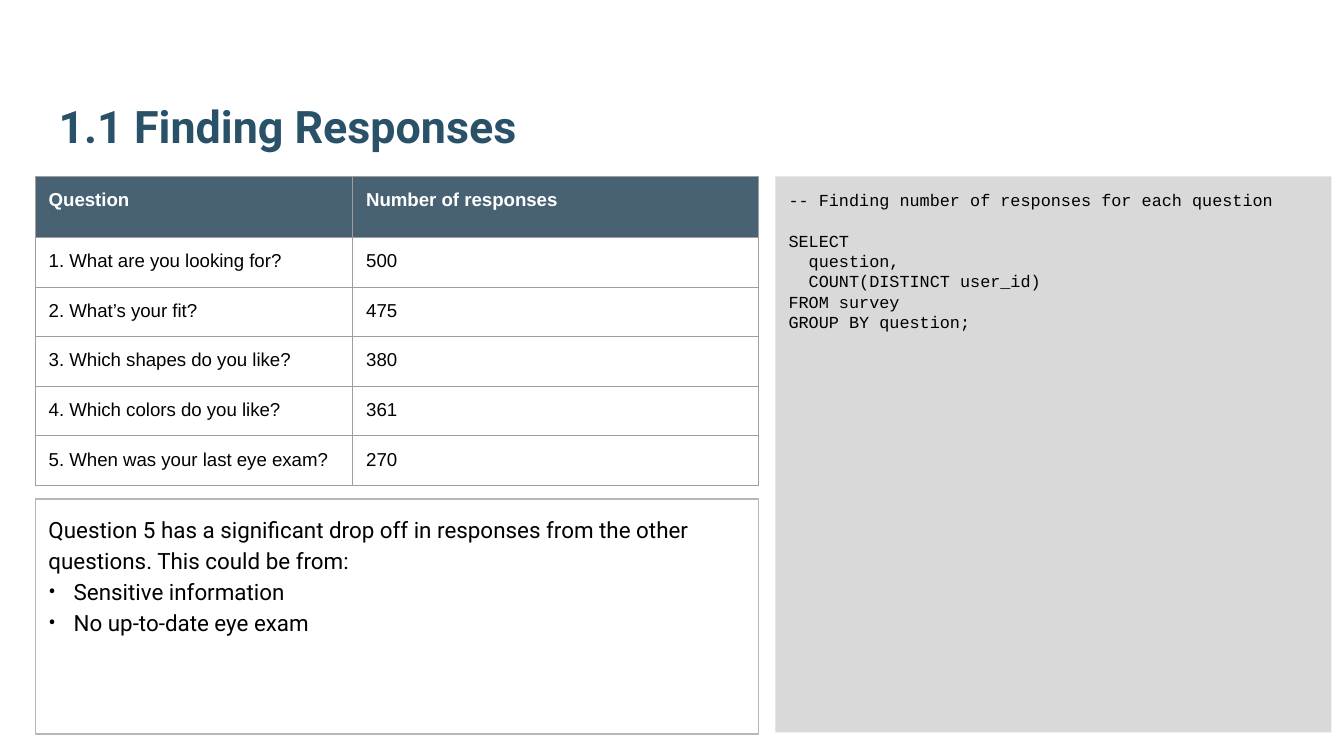
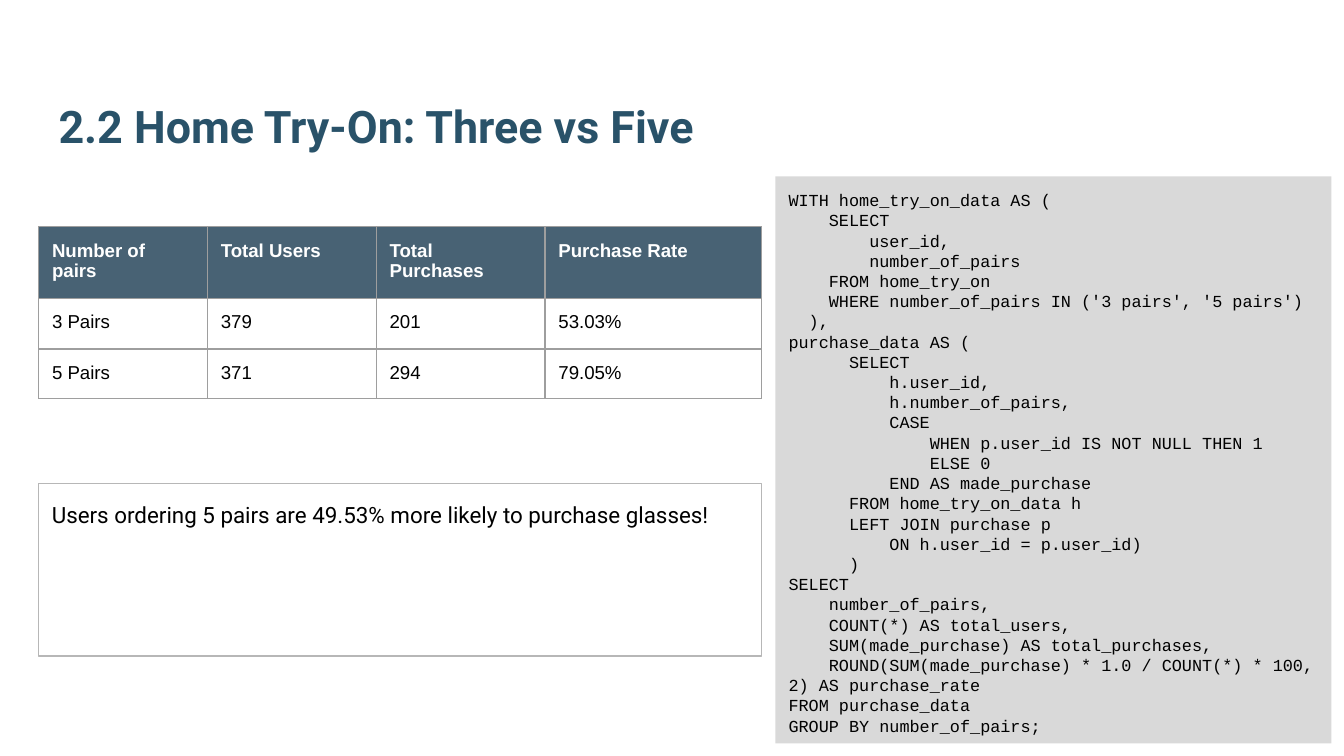
"""Build two survey slides, each with a table, a finding and its SQL query."""
import pptx
import pptx.dml.color
import pptx.enum.shapes
import pptx.enum.text
import pptx.oxml
import pptx.oxml.ns
import pptx.util

RGB = pptx.dml.color.RGBColor
NAVY = RGB(0x29, 0x52, 0x69)
HEAD = RGB(0x20, 0x40, 0x56)
GRAY = RGB(0xD9, 0xD9, 0xD9)
EDGE = RGB(0xB7, 0xB7, 0xB7)
GRID = RGB(0x9E, 0x9E, 0x9E)
WHITE = RGB(0xFF, 0xFF, 0xFF)
BLACK = RGB(0, 0, 0)
SCALE = 5715
PAD = 16
WIDE = 861
SIDES = ("lnL", "lnR", "lnT", "lnB")

COUNTS = [
    ("Question", "Number of responses"),
    ("1. What are you looking for?", "500"),
    ("2. What’s your fit?", "475"),
    ("3. Which shapes do you like?", "380"),
    ("4. Which colors do you like?", "361"),
    ("5. When was your last eye exam?", "270"),
]
RATES = [
    ("Number of pairs", "Total Users", "Total Purchases", "Purchase Rate"),
    ("3 Pairs", "379", "201", "53.03%"),
    ("5 Pairs", "371", "294", "79.05%"),
]
COUNT_SQL = """-- Finding number of responses for each question

SELECT
  question,
  COUNT(DISTINCT user_id)
FROM survey
GROUP BY question;"""
RATE_SQL = """WITH home_try_on_data AS (
    SELECT
        user_id,
        number_of_pairs
    FROM home_try_on
    WHERE number_of_pairs IN ('3 pairs', '5 pairs')
  ),
purchase_data AS (
      SELECT
          h.user_id,
          h.number_of_pairs,
          CASE
              WHEN p.user_id IS NOT NULL THEN 1
              ELSE 0
          END AS made_purchase
      FROM home_try_on_data h
      LEFT JOIN purchase p
          ON h.user_id = p.user_id)
      )
SELECT
    number_of_pairs,
    COUNT(*) AS total_users,
    SUM(made_purchase) AS total_purchases,
    ROUND(SUM(made_purchase) * 1.0 / COUNT(*) * 100, 2) AS purchase_rate
FROM purchase_data
GROUP BY number_of_pairs;"""


def px(*sizes):
    """Turn px lengths into EMU."""
    return [pptx.util.Emu(size * SCALE) for size in sizes]


def inset(item):
    """Give a text frame or a cell the shared margins."""
    item.margin_left, item.margin_top, item.margin_right, item.margin_bottom = px(*[PAD] * 4)


def style(para, face, size, color, bold=False):
    """Set the font of a left-aligned paragraph."""
    para.alignment = pptx.enum.text.PP_ALIGN.LEFT
    font = para.font
    font.name, font.size, font.bold = face, pptx.util.Pt(size), bold
    font.color.rgb = color


def write(frame, lines, anchor=pptx.enum.text.MSO_ANCHOR.TOP):
    """Put lines into a wrapped frame and return its paragraphs."""
    frame.word_wrap = True
    frame.vertical_anchor = anchor
    inset(frame)
    for i, line in enumerate(lines):
        para = frame.add_paragraph() if i else frame.paragraphs[0]
        para.text = line
    return frame.paragraphs


def bullet(para):
    """Give a paragraph a hanging black bullet."""
    props = para._p.get_or_add_pPr()
    hang = px(30)[0]
    props.set("marL", str(hang))
    props.set("indent", str(-hang))
    space = pptx.oxml.ns.nsdecls("a")
    for xml in (f'<a:buClr {space}><a:srgbClr val="{BLACK}"/></a:buClr>',
                f'<a:buFont {space} typeface="Roboto"/>',
                f'<a:buChar {space} char="•"/>'):
        props.append(pptx.oxml.parse_xml(xml))


def title(slide, text):
    """Add the slide title."""
    box = slide.shapes.add_textbox(*px(54, 51, 1491, 146))
    para, = write(box.text_frame, [text], pptx.enum.text.MSO_ANCHOR.BOTTOM)
    style(para, "Roboto", 24, NAVY, True)


def panel(slide, *place):
    """Add a plain rectangle without fill or line."""
    shape = slide.shapes.add_shape(pptx.enum.shapes.MSO_SHAPE.RECTANGLE, *px(*place))
    shape.shadow.inherit = False
    shape.fill.background()
    shape.line.fill.background()
    return shape


def query(slide, tall, code):
    """Add the gray panel of code, with gaps between its blocks."""
    shape = panel(slide, 923, 210, 662, tall)
    shape.fill.solid()
    shape.fill.fore_color.rgb = GRAY
    lines = code.split("\n")
    starts = [line for gap, line in zip(lines, lines[1:]) if not gap]
    for para in write(shape.text_frame, [line for line in lines if line]):
        if para.text in starts:
            para.space_before = pptx.util.Pt(11)
        style(para, "Courier New", 9, BLACK)


def finding(slide, left, top, tall, text, points=()):
    """Add the outlined box with a finding and its bullet points."""
    shape = panel(slide, left, top, WIDE, tall)
    shape.line.color.rgb = EDGE
    shape.line.width = pptx.util.Pt(0.75)
    for i, para in enumerate(write(shape.text_frame, [text, *points])):
        para.line_spacing = 1.15
        if i:
            bullet(para)
        style(para, "Roboto", 12, BLACK)


def border(cell):
    """Draw thin gray lines on all sides of a cell."""
    props = cell._tc.get_or_add_tcPr()
    for i, side in enumerate(SIDES):
        props.insert(i, pptx.oxml.parse_xml(
            f'<a:{side} {pptx.oxml.ns.nsdecls("a")} w="{pptx.util.Pt(0.75)}">'
            f'<a:solidFill><a:srgbClr val="{GRID}"/></a:solidFill></a:{side}>'))


def shade(cell):
    """Fill a header cell with slightly clear navy."""
    cell.fill.solid()
    cell.fill.fore_color.rgb = HEAD
    tone = cell._tc.tcPr.find(".//" + pptx.oxml.ns.qn("a:srgbClr"))
    tone.append(pptx.oxml.parse_xml(
        f'<a:alpha {pptx.oxml.ns.nsdecls("a")} val="82000"/>'))


def grid(slide, left, top, tall, cols, rows, data):
    """Add a table with a dark header row."""
    frame = slide.shapes.add_table(
        len(rows), len(cols), *px(left, top, WIDE, tall))
    table = frame.table
    table.first_row = table.horz_banding = False
    for col, wide in zip(table.columns, px(*cols)):
        col.width = wide
    for r, (row, high) in enumerate(zip(table.rows, px(*rows))):
        row.height = high
        for cell, text in zip(row.cells, data[r]):
            cell.text = text
            inset(cell)
            if r:
                cell.fill.background()
            else:
                shade(cell)
            border(cell)
            style(cell.text_frame.paragraphs[0], "Arial", 10,
                  BLACK if r else WHITE, not r)
    frame.height = px(tall)[0]


def main():
    """Build and save both slides."""
    deck = pptx.Presentation()
    deck.slide_width, deck.slide_height = px(1600, 900)
    blank = deck.slide_layouts[6]

    slide = deck.slides.add_slide(blank)
    title(slide, "1.1 Finding Responses")
    query(slide, 662, COUNT_SQL)
    finding(slide, 42, 594, 280,
            "Question 5 has a significant drop off in responses from the other "
            "questions. This could be from:",
            ["Sensitive information", "No up-to-date eye exam"])
    grid(slide, 42, 210, 366, [378, 483], [73] + [59] * 5, COUNTS)

    slide = deck.slides.add_slide(blank)
    title(slide, "2.2 Home Try-On: Three vs Five")
    query(slide, 675, RATE_SQL)
    finding(slide, 46, 576, 205,
            "Users ordering 5 pairs are 49.53% more likely to purchase glasses!")
    grid(slide, 46, 270, 205, [201] * 3 + [258], [75, 60, 46], RATES)

    deck.save("out.pptx")


if __name__ == "__main__":
    main()
